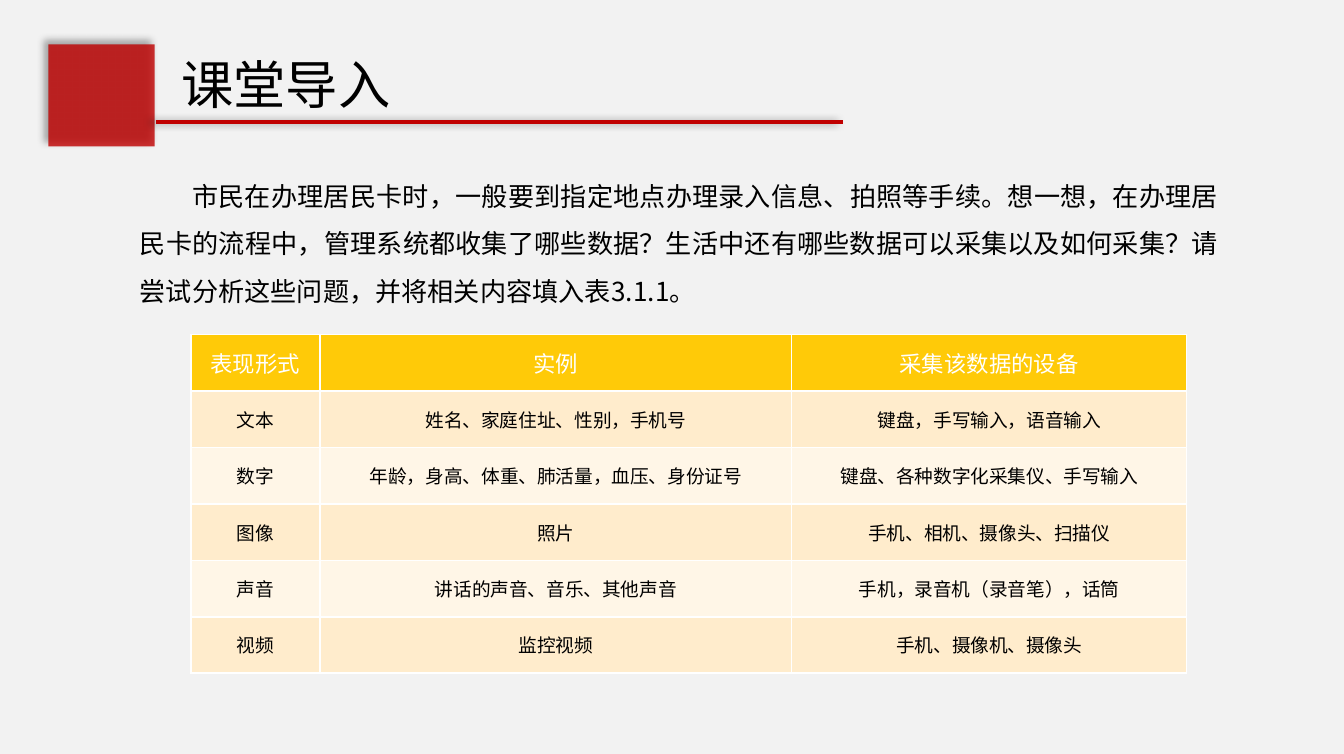
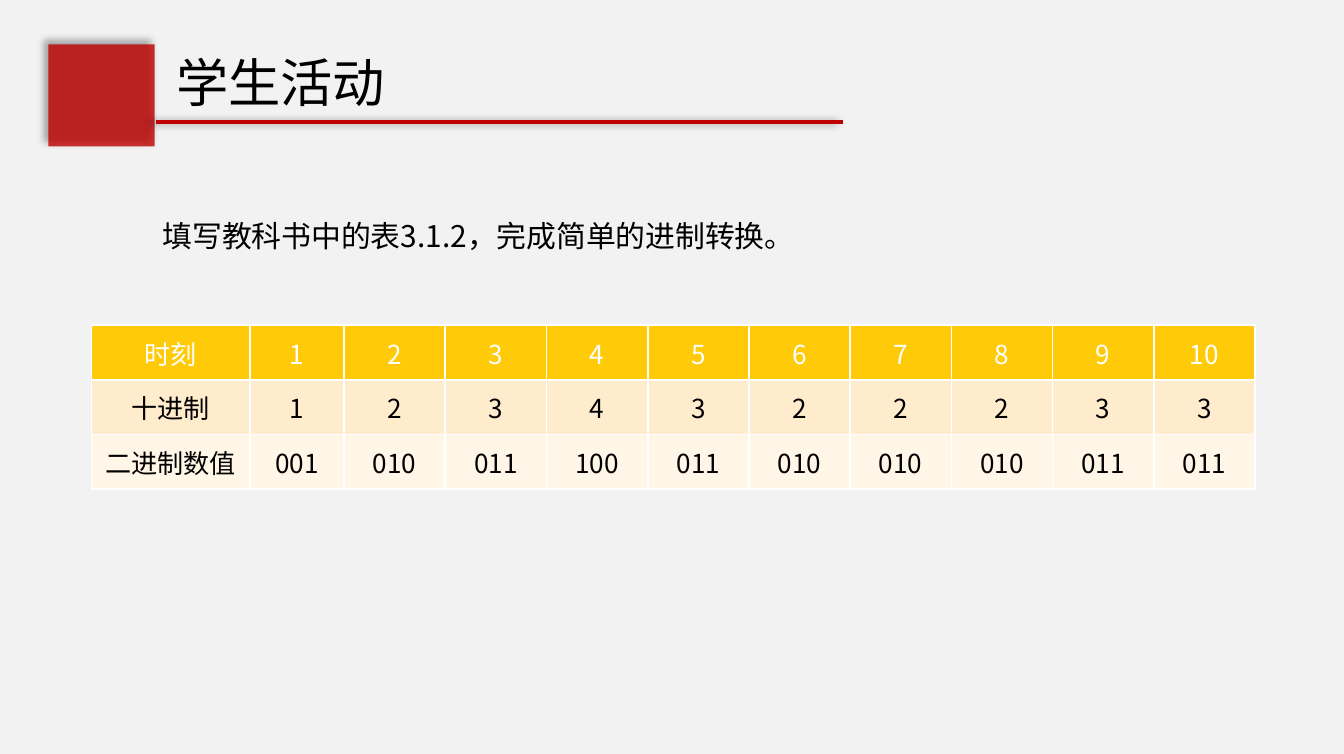
from lxml import etree
from pptx import Presentation
from pptx.dml.color import RGBColor
from pptx.enum import shapes, text
from pptx.oxml import ns
from pptx.util import Inches, Pt

FONT = "Noto Sans CJK SC"
COLORS = {
    "page": "F2F2F2",
    "red": "C00000",
    "gold": "FFCA08",
    "odd_row": "FFECCC",
    "even_row": "FFF6E7",
    "black": "000000",
    "white": "FFFFFF",
}


def rgb(name):
    return RGBColor.from_string(COLORS[name])


def add_element(parent, tag, **attributes):
    values = {key: str(value) for key, value in attributes.items()}
    return etree.SubElement(parent, ns.qn(tag), values)


def add_color(parent, name, opacity=None):
    color = add_element(parent, "a:srgbClr", val=COLORS[name])
    if opacity is not None:
        add_element(color, "a:alpha", val=opacity * 1000)


def add_shadow(item, degrees):
    effects = add_element(item.element.spPr, "a:effectLst")
    shadow = add_element(effects, "a:outerShdw", blurRad=Pt(4), dist=Pt(3),
                         dir=degrees * 60000, rotWithShape=0)
    add_color(shadow, "black", 40)


def style_paragraph(para, size, color="black", align=text.PP_ALIGN.LEFT):
    para.alignment = align
    para.font.name = FONT
    para.font.size = Pt(size)
    para.font.bold = False
    para.font.color.rgb = rgb(color)
    # East Asian characters take their own font
    defaults = para._p.pPr.find(ns.qn("a:defRPr"))
    add_element(defaults, "a:ea", typeface=FONT)


def fill_text_box(box, words, size, wrap=False, align=text.PP_ALIGN.LEFT):
    frame = box.text_frame
    frame.text = words
    frame.word_wrap = wrap
    frame.auto_size = text.MSO_AUTO_SIZE.SHAPE_TO_FIT_TEXT
    frame.vertical_anchor = text.MSO_ANCHOR.TOP
    frame.margin_left = frame.margin_right = Inches(0.05)
    frame.margin_top = frame.margin_bottom = Inches(0.05)
    para = frame.paragraphs[0]
    style_paragraph(para, size, align=align)
    return para


def add_text(slide, left, top, width, height, words, size, **options):
    box = slide.shapes.add_textbox(Inches(left), Inches(top), Inches(width), Inches(height))
    return fill_text_box(box, words, size, **options)


def add_header(slide, title, title_left, title_top, left=0.36, top=0.33):
    # Red square
    square = slide.shapes.add_shape(shapes.MSO_SHAPE.RECTANGLE, Inches(left), Inches(top),
                                    Inches(0.79), Inches(0.76))
    square.fill.solid()
    square.fill.fore_color.rgb = rgb("red")
    color = square.element.spPr.find(ns.qn("a:solidFill"))[0]
    add_element(color, "a:alpha", val=80000)
    square.line.fill.background()
    add_shadow(square, 225)

    # Rule under the title
    rule_left, rule_top = left + 0.8, top + 0.58
    rule = slide.shapes.add_connector(shapes.MSO_CONNECTOR.STRAIGHT, Inches(rule_left),
                                      Inches(rule_top), Inches(rule_left + 5.11), Inches(rule_top))
    rule.line.color.rgb = rgb("red")
    rule.line.width = Pt(2.25)
    add_shadow(rule, 180)

    # Title
    box = slide.shapes.title
    box.left, box.top = Inches(title_left), Inches(title_top)
    box.width, box.height = Inches(1.67), Inches(0.57)
    fill_text_box(box, title, 28)


def add_borders(cell):
    properties = cell._tc.get_or_add_tcPr()
    for side in "LRTB":
        border = add_element(properties, f"a:ln{side}", w=Pt(1))
        add_color(add_element(border, "a:solidFill"), "white")


def add_data_table(slide, left, top, widths, height, rows, header_size, body_size):
    frame = slide.shapes.add_table(len(rows), len(widths), Inches(left), Inches(top),
                                   Inches(sum(widths)), Inches(height))
    table = frame.table
    for column, width in zip(table.columns, widths):
        column.width = Inches(width)
    for row_index, values in enumerate(rows):
        table.rows[row_index].height = Inches(height / len(rows))
        if row_index == 0:
            fill, color, size = "gold", "white", header_size
        else:
            fill = "odd_row" if row_index % 2 else "even_row"
            color, size = "black", body_size
        for column_index, value in enumerate(values):
            cell = table.cell(row_index, column_index)
            add_borders(cell)
            cell.fill.solid()
            cell.fill.fore_color.rgb = rgb(fill)
            cell.vertical_anchor = text.MSO_ANCHOR.MIDDLE
            cell.text = value
            style_paragraph(cell.text_frame.paragraphs[0], size, color, text.PP_ALIGN.CENTER)


def build_introduction(slide):
    add_header(slide, "课堂导入", 1.3, 0.34)
    question = add_text(
        slide, 0.99, 1.18, 8.13, 1.16,
        "市民在办理居民卡时，一般要到指定地点办理录入信息、拍照等手续。"
        "想一想，在办理居民卡的流程中，管理系统都收集了哪些数据？"
        "生活中还有哪些数据可以采集以及如何采集？"
        "请尝试分析这些问题，并将相关内容填入表3.1.1。",
        14, wrap=True, align=text.PP_ALIGN.JUSTIFY)
    question.line_spacing = 1.5
    question._p.pPr.set("indent", str(Inches(0.39)))

    rows = [
        ("表现形式", "实例", "采集该数据的设备"),
        ("文本", "姓名、家庭住址、性别，手机号", "键盘，手写输入，语音输入"),
        ("数字", "年龄，身高、体重、肺活量，血压、身份证号", "键盘、各种数字化采集仪、手写输入"),
        ("图像", "照片", "手机、相机、摄像头、扫描仪"),
        ("声音", "讲话的声音、音乐、其他声音", "手机，录音机（录音笔），话筒"),
        ("视频", "监控视频", "手机、摄像机、摄像头"),
    ]
    add_data_table(slide, 1.42, 2.49, (0.96, 3.51, 2.94), 2.52, rows, 12, 10)


def build_activity(slide):
    add_header(slide, "学生活动", 1.26, 0.32)
    add_text(slide, 1.16, 1.57, 4.93, 0.37, "填写教科书中的表3.1.2，完成简单的进制转换。", 16)

    samples = (1, 2, 3, 4, 3, 2, 2, 2, 3, 3)
    rows = [
        ["时刻"] + [str(moment) for moment in range(1, len(samples) + 1)],
        ["十进制"] + [str(sample) for sample in samples],
        ["二进制数值"] + [f"{sample:03b}" for sample in samples],
    ]
    first_widths = [1.18, 0.7]
    other_width = (8.66 - sum(first_widths)) / 9
    add_data_table(slide, 0.68, 2.42, first_widths + [other_width] * 9, 1.22, rows, 14, 14)


def main():
    deck = Presentation()
    deck.slide_width, deck.slide_height = Inches(10), Inches(5.61)
    background = deck.slide_master.background.fill
    background.solid()
    background.fore_color.rgb = rgb("page")
    title_only = deck.slide_layouts[5]
    for build in (build_introduction, build_activity):
        build(deck.slides.add_slide(title_only))
    deck.save("out.pptx")


if __name__ == "__main__":
    main()
